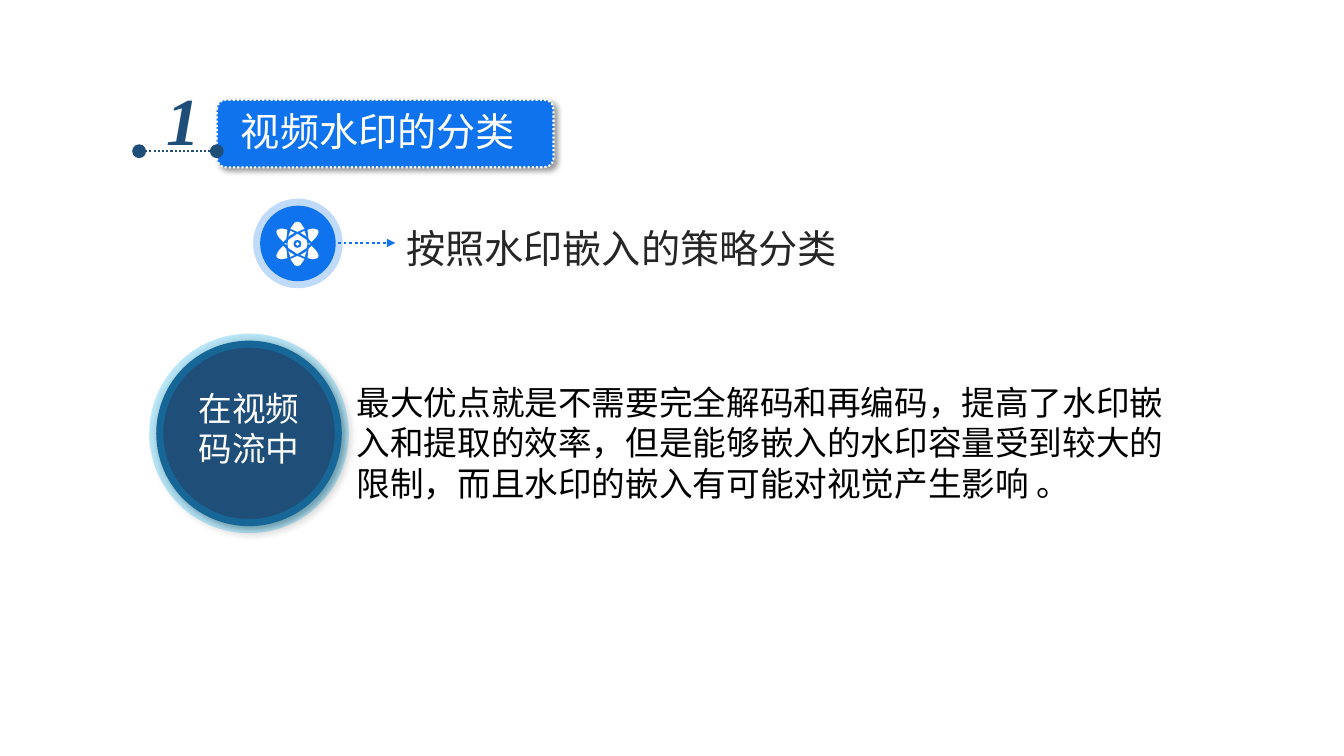
"""Build the slide on classifying video watermarks."""
from lxml import etree
from pptx import Presentation
from pptx.dml.color import RGBColor
from pptx.enum import dml, shapes, text
from pptx.oxml import ns
from pptx.util import Inches, Pt

CHINESE, NUMERAL = "Noto Sans CJK SC", "Times New Roman"
BLUE, NAVY, CYAN, WHITE = "0F73EE", "1F4E79", "00B0F0", "FFFFFF"

TITLE = "视频水印的分类"
SUBTITLE = "按照水印嵌入的策略分类"
CATEGORY = ["在视频", "码流中"]
DESCRIPTION = (
    "最大优点就是不需要完全解码和再编码，提高了水印嵌入和提取的效率，"
    "但是能够嵌入的水印容量受到较大的限制，而且水印的嵌入有可能对视觉产生影响 。"
)

ATOM_CENTER = (2.95, 2.42)
VERTICAL = [(1, 1), (1, -1)]
HORIZONTAL = [(1, 1), (-1, 1)]
CORNERS = VERTICAL + [(-1, 1), (-1, -1)]
ATOM_PARTS = [
    ([(0, -22), (3, -21), (5, -18), (7, -15), (0, -12),
      (-7, -15), (-5, -18), (-3, -21)], VERTICAL),
    ([(7, -13), (9, -7), (8, -8), (3, -11)], CORNERS),
    ([(14, -2), (11, -5), (10, -14), (14, -15), (17, -15), (20, -14),
      (21, -12), (20, -9), (18, -6)], CORNERS),
    ([(11, -1), (13, 0), (11, 1)], HORIZONTAL),
    ([(0, -10), (6, -6), (9, -4), (9.5, 0), (9, 4), (6, 6), (0, 10),
      (-6, 6), (-9, 4), (-9.5, 0), (-9, -4), (-6, -6)], [(1, 1)]),
    ([(0, -4), (-3, -3), (-4, 0), (-3, 3), (0, 4), (3, 3), (4, 0), (3, -3)], [(1, 1)]),
    ([(0, -2), (1.4, -1.4), (2, 0), (1.4, 1.4), (0, 2),
      (-1.4, 1.4), (-2, 0), (-1.4, -1.4)], [(1, 1)]),
]


def color(value):
    return RGBColor.from_string(value)


def add_element(parent, tag, **attributes):
    element = etree.SubElement(parent, ns.qn(tag))
    for name, value in attributes.items():
        element.set(name, str(value))
    return element


def set_alpha(fill_parent, percent):
    for color_element in fill_parent.findall(ns.qn("a:solidFill") + "/*"):
        add_element(color_element, "a:alpha", val=percent * 1000)


def add_shadow(shape):
    effects = shape._element.spPr.find(ns.qn("a:effectLst"))
    shadow = add_element(effects, "a:outerShdw", blurRad=Pt(4), dist=Pt(3),
                         dir=45 * 60000, algn="tl", rotWithShape=0)
    shadow_color = add_element(shadow, "a:srgbClr", val="000000")
    add_element(shadow_color, "a:alpha", val=40000)


def style_line(line, value, width, dotted=False):
    line.color.rgb = color(value)
    line.width = Pt(width)
    if dotted:
        line.dash_style = dml.MSO_LINE.ROUND_DOT


def add_shape(slide, kind, box, fill, adjustment=None):
    shape = slide.shapes.add_shape(kind, *map(Inches, box))
    shape.shadow.inherit = False
    shape.fill.solid()
    shape.fill.fore_color.rgb = color(fill)
    shape.line.fill.background()
    if adjustment is not None:
        shape.adjustments[0] = adjustment
    return shape


def add_ringed_circle(slide, box, fill, ring):
    circle = add_shape(slide, shapes.MSO_SHAPE.OVAL, box, fill)
    style_line(circle.line, ring, 10)
    set_alpha(circle._element.spPr.find(ns.qn("a:ln")), 25)
    return circle


def add_dotted_line(slide, start, end, value, width, **ends):
    connector = slide.shapes.add_connector(
        shapes.MSO_CONNECTOR.STRAIGHT, *map(Inches, start + end))
    style_line(connector.line, value, width, dotted=True)
    properties = connector._element.spPr
    for tag, (kind, size) in ends.items():
        add_element(properties.find(ns.qn("a:ln")), f"a:{tag}", type=kind, w=size, len=size)
    add_element(properties, "a:effectLst")


def write(shape, lines, size, value, font=CHINESE, wrap=True, centered=False,
          spacing=None, bold=False, italic=False):
    frame = shape.text_frame
    frame.word_wrap = wrap
    frame.auto_size = text.MSO_AUTO_SIZE.SHAPE_TO_FIT_TEXT
    frame.vertical_anchor = text.MSO_ANCHOR.TOP
    frame.text = "\n".join(lines)
    for paragraph in frame.paragraphs:
        paragraph.alignment = text.PP_ALIGN.CENTER if centered else text.PP_ALIGN.LEFT
        if spacing:
            paragraph.line_spacing = spacing
        for run in paragraph.runs:
            run.font.size = Pt(size)
            run.font.bold, run.font.italic = bold, italic
            run.font.color.rgb = color(value)
            run.font.name = font
            add_element(run.font._element, "a:ea", typeface=font)


def add_text(slide, box, lines, size, value, **options):
    write(slide.shapes.add_textbox(*map(Inches, box)), lines, size, value, **options)


def add_atom(slide):
    contours = [[(x * sign_x, y * sign_y) for x, y in points]
                for points, signs in ATOM_PARTS for sign_x, sign_y in signs]
    builder = slide.shapes.build_freeform(*contours[0][0], scale=Inches(0.01))
    for index, contour in enumerate(contours):
        if index:
            builder.move_to(*contour[0])
        builder.add_line_segments(contour[1:], close=True)
    atom = builder.convert_to_shape(*map(Inches, ATOM_CENTER))
    atom.shadow.inherit = False
    atom.fill.solid()
    atom.fill.fore_color.rgb = color(WHITE)
    atom.line.fill.background()


def add_heading(slide):
    banner = add_shape(slide, shapes.MSO_SHAPE.ROUNDED_RECTANGLE,
                       (2.15, 0.99, 3.34, 0.67), BLUE, 0.137)
    style_line(banner.line, WHITE, 1.5, dotted=True)
    add_shadow(banner)
    title = slide.shapes.title
    title.left, title.top, title.width, title.height = map(Inches, (2.29, 1.07, 2.95, 0.53))
    write(title, [TITLE], 28, WHITE, wrap=False, spacing=0.9)
    slide.shapes._spTree.append(title._element)
    add_text(slide, (1.55, 0.73, 0.54, 0.91), ["1"], 48, NAVY, font=NUMERAL,
             wrap=False, bold=True, italic=True)
    add_dotted_line(slide, (1.38, 1.5), (2.15, 1.5), NAVY, 1.5,
                    headEnd=("oval", "lg"), tailEnd=("oval", "lg"))


def add_subheading(slide):
    add_ringed_circle(slide, (2.58, 2.04, 0.75, 0.75), BLUE, BLUE)
    add_dotted_line(slide, (3.24, 2.41), (3.92, 2.41), BLUE, 2,
                    tailEnd=("triangle", "med"))
    add_atom(slide)
    add_text(slide, (3.93, 2.18, 4.61, 0.57), [SUBTITLE], 28, "262626", wrap=False)


def add_category(slide):
    panel = add_shape(slide, shapes.MSO_SHAPE.ROUNDED_RECTANGLE,
                      (2.68, 3.64, 9.09, 1.58), WHITE, 0.148)
    set_alpha(panel._element.spPr, 50)
    add_text(slide, (3.44, 3.74, 8.33, 1.31), [DESCRIPTION], 24, "000000")
    add_shadow(add_ringed_circle(slide, (1.55, 3.38, 1.84, 1.84), NAVY, CYAN))
    add_text(slide, (1.18, 3.8, 2.58, 1.14), CATEGORY, 24, WHITE, centered=True)


def main():
    presentation = Presentation()
    presentation.slide_width, presentation.slide_height = Inches(13.33), Inches(7.5)
    slide = presentation.slides.add_slide(presentation.slide_layouts[5])
    add_heading(slide)
    add_subheading(slide)
    add_category(slide)
    presentation.save("out.pptx")


if __name__ == "__main__":
    main()
